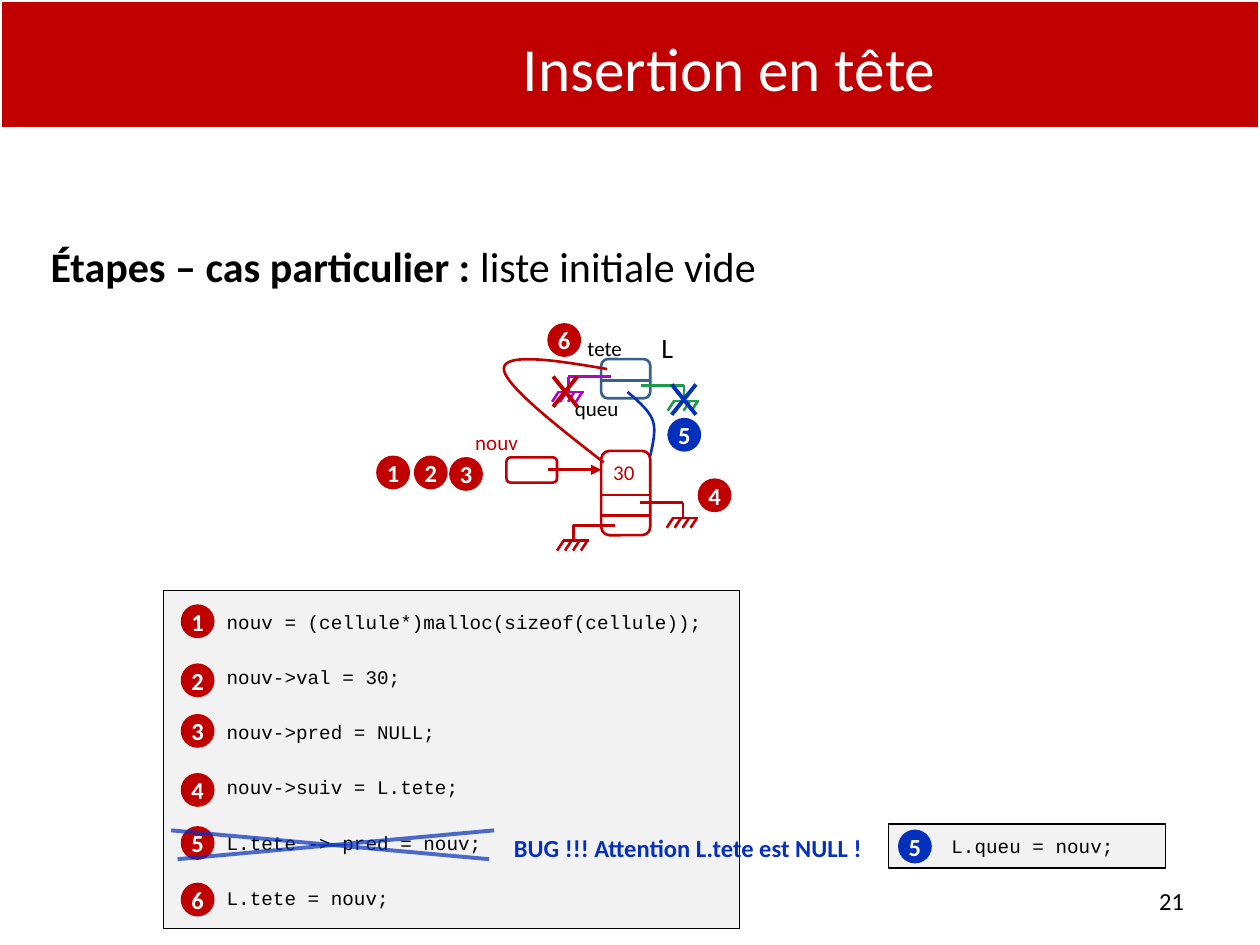
from lxml.etree import SubElement
from pptx import Presentation
from pptx.dml.color import RGBColor
from pptx.enum.shapes import MSO_CONNECTOR, MSO_SHAPE
from pptx.enum.text import MSO_ANCHOR, PP_ALIGN
from pptx.oxml.ns import qn
from pptx.util import Cm, Pt

COLORS = {
    "red": "C00000", "blue": "0530BB", "steel": "366092", "purple": "B105C3",
    "green": "1C9C47", "gray": "F2F2F2", "black": "000000", "white": "FFFFFF",
}


class ListDiagram:
    """Draws linked-list parts on one slide in a shared style."""

    font = "Calibri"
    code_font = "Courier New"
    badge_size = 0.61

    def __init__(self, slide):
        self.slide = slide
        self.shapes = slide.shapes

    def color(self, name):
        return RGBColor.from_string(COLORS[name])

    def outline(self, shape, color, width):
        shape.line.color.rgb = self.color(color)
        shape.line.width = Pt(width)

    def run(self, paragraph, text, size, color="black", bold=False, font=None):
        run = paragraph.add_run()
        run.text = text
        run.font.name = font or self.font
        run.font.size = Pt(size)
        run.font.bold = bold
        run.font.color.rgb = self.color(color)

    def box(self, kind, at, fill, line, width):
        shape = self.shapes.add_shape(kind, *map(Cm, at))
        shape.shadow.inherit = False
        if fill:
            shape.fill.solid()
            shape.fill.fore_color.rgb = self.color(fill)
        else:
            shape.fill.background()
        self.outline(shape, line, width)
        return shape

    def text(self, at, runs, size, color="black", align=PP_ALIGN.CENTER, anchor=MSO_ANCHOR.TOP):
        frame = self.shapes.add_textbox(*map(Cm, at)).text_frame
        frame.word_wrap = True
        frame.margin_left = frame.margin_right = 0
        frame.vertical_anchor = anchor
        paragraph = frame.paragraphs[0]
        paragraph.alignment = align
        for words, bold in runs:
            self.run(paragraph, words, size, color, bold)

    def line(self, start, end, color, width=1.5, arrow=False, opacity=None):
        connector = self.shapes.add_connector(
            MSO_CONNECTOR.STRAIGHT, *map(Cm, (*start, *end)))
        self.outline(connector, color, width)
        properties = connector._element.spPr
        stroke = properties.find(qn("a:ln"))
        if opacity:
            rgb = stroke.find(qn("a:solidFill")).find(qn("a:srgbClr"))
            SubElement(rgb, qn("a:alpha"), val=str(opacity * 1000))
        if arrow:
            SubElement(stroke, qn("a:tailEnd"), type="triangle")
        SubElement(properties, qn("a:effectLst"))

    def cell(self, at, dividers, color):
        left, _, width, _ = at
        frame = self.box(MSO_SHAPE.ROUNDED_RECTANGLE, at, None, color, 1.5)
        frame.adjustments[0] = 0.167
        for y in dividers:
            self.line((left, y), (left + width, y), color)

    def ground(self, start, stem, y, color):
        bar = y + 0.31
        self.line((start, y), (stem, y), color)
        self.line((stem, y), (stem, bar), color)
        self.line((stem - 0.22, bar), (stem + 0.31, bar), color)
        for tick in range(4):
            x = stem - 0.2 + 0.16 * tick
            self.line((x, bar), (x - 0.13, bar + 0.2), color)

    def cross(self, left, top, color, width=0.49, height=0.61):
        right, bottom = left + width, top + height
        self.line((left, top), (right, bottom), color, 2.25)
        self.line((right, top), (left, bottom), color, 2.25)

    def curve(self, points, color, steps=24):
        track = []
        for first in range(0, len(points) - 1, 3):
            a, b, c, d = points[first:first + 4]
            for step in range(1, steps + 1):
                t = step / steps
                u = 1 - t
                track.append(tuple(
                    Cm(u**3 * p + 3 * u * u * t * q + 3 * u * t * t * r + t**3 * s)
                    for p, q, r, s in zip(a, b, c, d)))
        builder = self.shapes.build_freeform(*map(Cm, points[0]))
        builder.add_line_segments(track, close=False)
        pointer = builder.convert_to_shape()
        pointer.shadow.inherit = False
        pointer.fill.background()
        self.outline(pointer, color, 1.5)

    def badge(self, number, left, top, color="red"):
        at = (left, top, self.badge_size, self.badge_size)
        frame = self.box(MSO_SHAPE.OVAL, at, color, color, 2).text_frame
        frame.word_wrap = False
        frame.margin_left = frame.margin_right = 0
        frame.margin_top = frame.margin_bottom = 0
        frame.vertical_anchor = MSO_ANCHOR.MIDDLE
        frame.paragraphs[0].alignment = PP_ALIGN.CENTER
        self.run(frame.paragraphs[0], str(number), 14, "white", True)

    def code(self, at, statements):
        frame = self.box(MSO_SHAPE.RECTANGLE, at, "gray", "black", 0.75).text_frame
        frame.word_wrap = True
        frame.margin_left = Cm(1.27)
        frame.vertical_anchor = MSO_ANCHOR.MIDDLE
        for index, statement in enumerate(statements):
            paragraph = frame.add_paragraph() if index else frame.paragraphs[0]
            paragraph.alignment = PP_ALIGN.LEFT
            if index:
                paragraph.space_before = Pt(18.3)
            self.run(paragraph, statement, 11, font=self.code_font)


def main():
    presentation = Presentation()
    presentation.slide_width, presentation.slide_height = Cm(25.4), Cm(19.05)
    diagram = ListDiagram(presentation.slides.add_slide(presentation.slide_layouts[6]))

    diagram.text((1.02, 4.72, 23.2, 13.79),
                 [("Étapes – cas particulier : ", True), ("liste initiale vide", False)],
                 24, align=PP_ALIGN.JUSTIFY)
    diagram.box(MSO_SHAPE.RECTANGLE, (0, 0, 25.4, 2.59), "red", "white", 2)

    diagram.cell((12.12, 7.24, 0.99, 0.79), [7.67], "steel")
    diagram.cell((12.12, 9.09, 0.99, 1.7), [9.98, 10.39], "red")
    diagram.cell((10.21, 9.22, 1.02, 0.51), [], "red")
    diagram.line((11.05, 9.47), (12.12, 9.47), "red", arrow=True)

    for start, stem, y, color in [
        (12.9, 13.77, 10.13, "red"), (12.4, 11.56, 10.59, "red"),
        (12.32, 11.46, 7.59, "purple"), (12.93, 13.79, 7.77, "green"),
    ]:
        diagram.ground(start, stem, y, color)

    for name, at, size, color in [
        ("tete", (10.92, 6.63, 2.54, 0.61), 12, "black"),
        ("queu", (10.95, 7.85, 2.16, 0.76), 12, "black"),
        ("L", (12.98, 6.53, 0.94, 0.74), 16, "black"),
        ("30", (12.09, 9.14, 0.97, 0.76), 12, "red"),
        ("nouv", (9.3, 8.53, 1.42, 0.76), 12, "red"),
    ]:
        diagram.text(at, [(name, False)], size, color)

    diagram.curve([(12.65, 7.9), (12.85, 8.08), (13.08, 8.26), (13.16, 8.48),
                   (13.23, 8.69), (13.16, 8.94), (13.11, 9.19)], "blue")
    diagram.curve([(12.24, 7.44), (11.2, 7.26), (10.19, 7.11), (10.16, 7.42),
                   (10.13, 7.72), (11.15, 8.53), (12.17, 9.32)], "red")
    diagram.cross(13.54, 7.75, "blue")
    diagram.cross(11.15, 7.59, "red")

    for number, left, top in [(1, 7.62, 9.22), (2, 8.38, 9.22), (3, 9.09, 9.25),
                              (4, 14.1, 9.68), (6, 11.07, 6.55)]:
        diagram.badge(number, left, top)
    diagram.badge(5, 13.49, 8.46, "blue")

    diagram.code((3.3, 11.91, 11.61, 6.81), [
        "nouv = (cellule*)malloc(sizeof(cellule));",
        "nouv->val = 30;",
        "nouv->pred = NULL;",
        "nouv->suiv = L.tete;",
        "L.tete -> pred = nouv;",
        "L.tete = nouv;",
    ])
    for number, top in enumerate([12.22, 13.41, 14.43, 15.62, 16.69, 17.83], 1):
        diagram.badge(number, 3.68, top)
    diagram.line((3.45, 16.74), (9.86, 17.32), "blue", 2.25, opacity=69)
    diagram.line((9.96, 16.74), (3.58, 17.32), "blue", 2.25, opacity=69)

    diagram.text((10.36, 16.66, 8.28, 0.86),
                 [("BUG !!! Attention L.tete est NULL !", True)],
                 14, "blue", PP_ALIGN.LEFT)
    diagram.code((17.91, 16.61, 5.59, 0.89), ["L.queu = nouv;"])
    diagram.badge(5, 18.14, 16.76, "blue")

    diagram.text((5.51, 0.48, 18.39, 1.75), [("Insertion en tête", False)],
                 35, "white", anchor=MSO_ANCHOR.MIDDLE)
    diagram.text((18.21, 17.65, 5.66, 1.02), [("21", False)],
                 14, align=PP_ALIGN.RIGHT, anchor=MSO_ANCHOR.MIDDLE)
    presentation.save("out.pptx")


if __name__ == "__main__":
    main()
